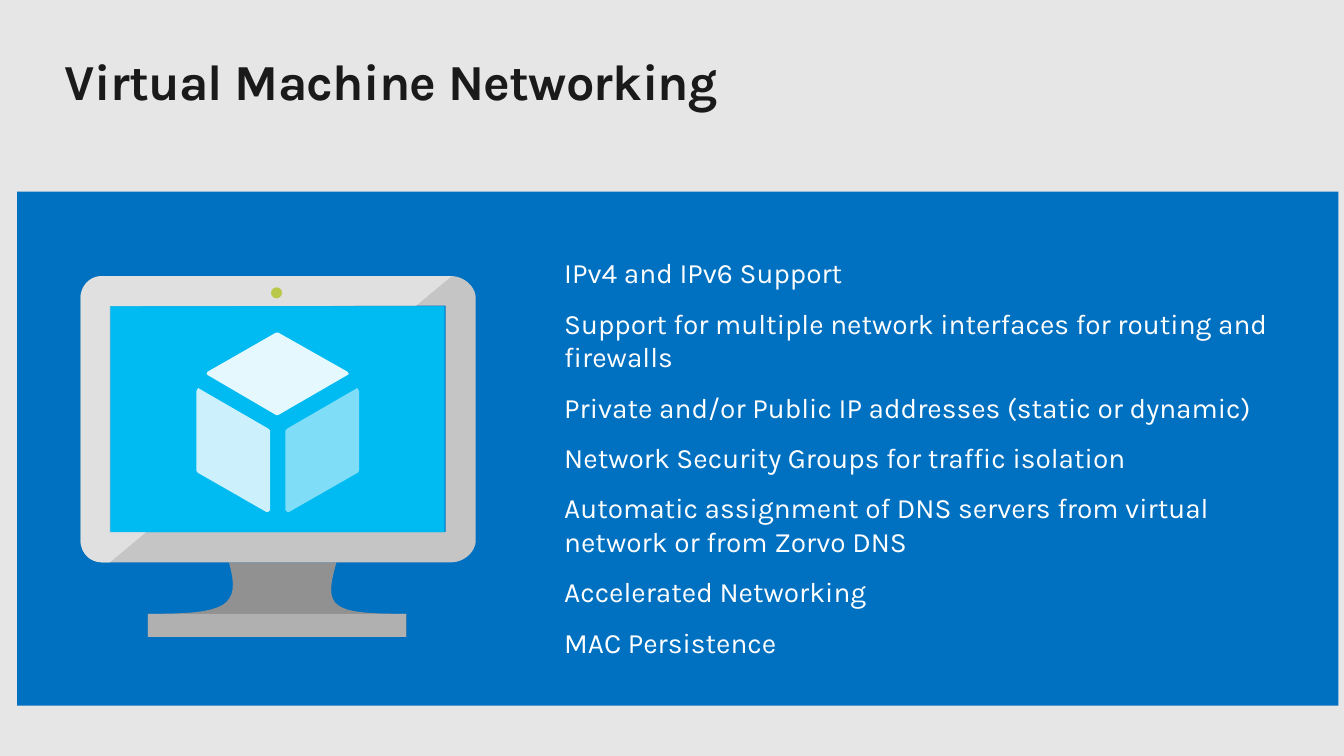
from dataclasses import dataclass

from pptx import Presentation
from pptx.dml.color import RGBColor
from pptx.enum.shapes import MSO_SHAPE
from pptx.enum.text import MSO_ANCHOR
from pptx.util import Cm, Pt

RECT, OVAL = MSO_SHAPE.RECTANGLE, MSO_SHAPE.OVAL
TOP, MIDDLE = MSO_ANCHOR.TOP, MSO_ANCHOR.MIDDLE

TITLE = "Virtual Machine Networking"
FEATURES = [
    "IPv4 and IPv6 Support",
    "Support for multiple network interfaces for routing and firewalls",
    "Private and/or Public IP addresses (static or dynamic)",
    "Network Security Groups for traffic isolation",
    "Automatic assignment of DNS servers from virtual network or from Zorvo DNS",
    "Accelerated Networking",
    "MAC Persistence",
]


@dataclass(frozen=True)
class Theme:
    font: str = "Karla"
    title_size: int = 36
    body_size: int = 20
    background: str = "E6E6E6"
    panel: str = "0070C0"
    title: str = "1A1A1A"
    body: str = "FFFFFF"
    stand: str = "919191"
    base: str = "B0B0B0"
    frame: str = "C5C5C5"
    gloss: str = "E0E0E0"
    screen: str = "00BBF1"
    screen_edge: str = "59B4D9"
    camera: str = "BAC84A"
    cube_top: str = "E5F8FE"
    cube_left: str = "CCF1FC"
    cube_right: str = "80DDF8"


THEME = Theme()

STAND = [(8.48, 14.17), (5.77, 14.17), (6.10, 15.32, 5.66, 15.47, 3.73, 15.47),
         (3.73, 16.05), (10.24, 16.05), (10.24, 15.47),
         (8.33, 15.47, 8.15, 15.32, 8.48, 14.17)]
FRAME = [(11.38, 6.96), (2.57, 6.96), (2.26, 6.96, 2.03, 7.21, 2.03, 7.52),
         (2.03, 13.61), (2.03, 13.92, 2.26, 14.17, 2.57, 14.17),
         (11.38, 14.17), (11.68, 14.17, 11.99, 13.92, 11.99, 13.61),
         (11.99, 7.52), (11.99, 7.21, 11.68, 6.96, 11.38, 6.96)]
OPENING = [(11.23, 7.70), (11.23, 13.41), (2.79, 13.41), (2.79, 7.72)]
GLOSS = [(2.77, 13.41), (2.77, 7.72), (10.49, 7.70), (11.38, 6.96),
         (2.57, 6.96), (2.26, 6.96, 2.03, 7.21, 2.03, 7.52), (2.03, 13.61),
         (2.03, 13.92, 2.26, 14.17, 2.57, 14.17), (2.77, 14.17), (3.68, 13.41)]
SCREEN_EDGE = [(2.77, 13.41), (2.79, 13.41), (2.79, 7.72), (10.49, 7.72), (2.77, 7.72)]
CUBE_TOP = [(6.96, 8.38), (5.23, 9.37), (5.21, 9.42), (5.23, 9.45), (6.96, 10.46),
            (7.01, 10.46), (8.76, 9.45), (8.79, 9.42), (8.76, 9.37), (7.01, 8.38)]
CUBE_LEFT = [(5.03, 9.80), (5.00, 9.78), (4.98, 9.80), (4.95, 9.86), (4.95, 11.86),
             (4.98, 11.91), (6.71, 12.90), (6.76, 12.90), (6.81, 12.85),
             (6.81, 10.85), (6.76, 10.80)]
CUBE_AXIS = 7.0
CUBE_RIGHT = [(2 * CUBE_AXIS - x, y) for x, y in CUBE_LEFT]
CURVE_STEPS = 16


def rgb(color):
    return RGBColor.from_string(color)


def paint(shape, color):
    shape.shadow.inherit = False
    shape.fill.solid()
    shape.fill.fore_color.rgb = rgb(color)
    shape.line.fill.background()


def add_block(s, kind, box, color):
    paint(s.shapes.add_shape(kind, *map(Cm, box)), color)


def trace(outline):
    points = []
    for step in outline:
        if len(step) == 2:
            points.append(step)
            continue
        controls = [points[-1], step[:2], step[2:4], step[4:]]
        for i in range(1, CURVE_STEPS + 1):
            t = i / CURVE_STEPS
            weights = ((1 - t) ** 3, 3 * t * (1 - t) ** 2, 3 * t * t * (1 - t), t ** 3)
            points.append(tuple(sum(w * c[axis] for w, c in zip(weights, controls))
                                for axis in (0, 1)))
    return [(Cm(x), Cm(y)) for x, y in points]


def add_outline(s, color, *outlines):
    first, *others = [trace(outline) for outline in outlines]
    builder = s.shapes.build_freeform(*first[0], scale=1.0)
    builder.add_line_segments(first[1:], close=True)
    for points in others:
        builder.move_to(*points[0])
        builder.add_line_segments(points[1:], close=True)
    paint(builder.convert_to_shape(), color)


def add_text(s, box, lines, size, color, bold=False, anchor=TOP, inset=0, indent=0,
             gap=0, tracking=0):
    tf = s.shapes.add_textbox(*map(Cm, box)).text_frame
    tf.word_wrap = True
    tf.vertical_anchor = anchor
    tf.margin_left = tf.margin_right = 0
    tf.margin_top = tf.margin_bottom = Cm(inset)
    tf.text = "\n".join(lines)
    for p in tf.paragraphs:
        p.space_after = Pt(gap)
        p._p.get_or_add_pPr().set("marL", str(Cm(indent)))
        for r in p.runs:
            r.font.name = THEME.font
            r.font.size = Pt(size)
            r.font.bold = bold
            r.font.color.rgb = rgb(color)
            r._r.get_or_add_rPr().set("spc", str(tracking))


def add_monitor(s):
    add_outline(s, THEME.stand, STAND)
    add_outline(s, THEME.frame, FRAME, OPENING)
    add_block(s, RECT, (2.77, 7.72, 8.43, 5.69), THEME.screen)
    add_outline(s, THEME.gloss, GLOSS)
    add_block(s, RECT, (2.79, 7.72, 8.41, 5.69), THEME.screen)
    add_outline(s, THEME.screen_edge, SCREEN_EDGE)
    add_block(s, RECT, (3.73, 15.47, 6.5, 0.58), THEME.base)
    add_block(s, OVAL, (6.83, 7.24, 0.28, 0.28), THEME.camera)
    add_outline(s, THEME.cube_top, CUBE_TOP)
    add_outline(s, THEME.cube_left, CUBE_LEFT)
    add_outline(s, THEME.cube_right, CUBE_RIGHT)


def main():
    prs = Presentation()
    prs.slide_width, prs.slide_height = Cm(33.87), Cm(19.05)
    s = prs.slides.add_slide(prs.slide_layouts[6])
    s.background.fill.solid()
    s.background.fill.fore_color.rgb = rgb(THEME.background)
    add_block(s, RECT, (0.43, 4.83, 33.3, 12.95), THEME.panel)
    add_text(s, (1.63, 1.27, 30.61, 1.55), [TITLE], THEME.title_size, THEME.title,
             bold=True, tracking=-50)
    add_text(s, (13.89, 5.49, 19.18, 12.07), FEATURES, THEME.body_size, THEME.body,
             anchor=MIDDLE, inset=0.13, indent=0.33, gap=12)
    add_monitor(s)
    prs.save("out.pptx")


if __name__ == "__main__":
    main()
